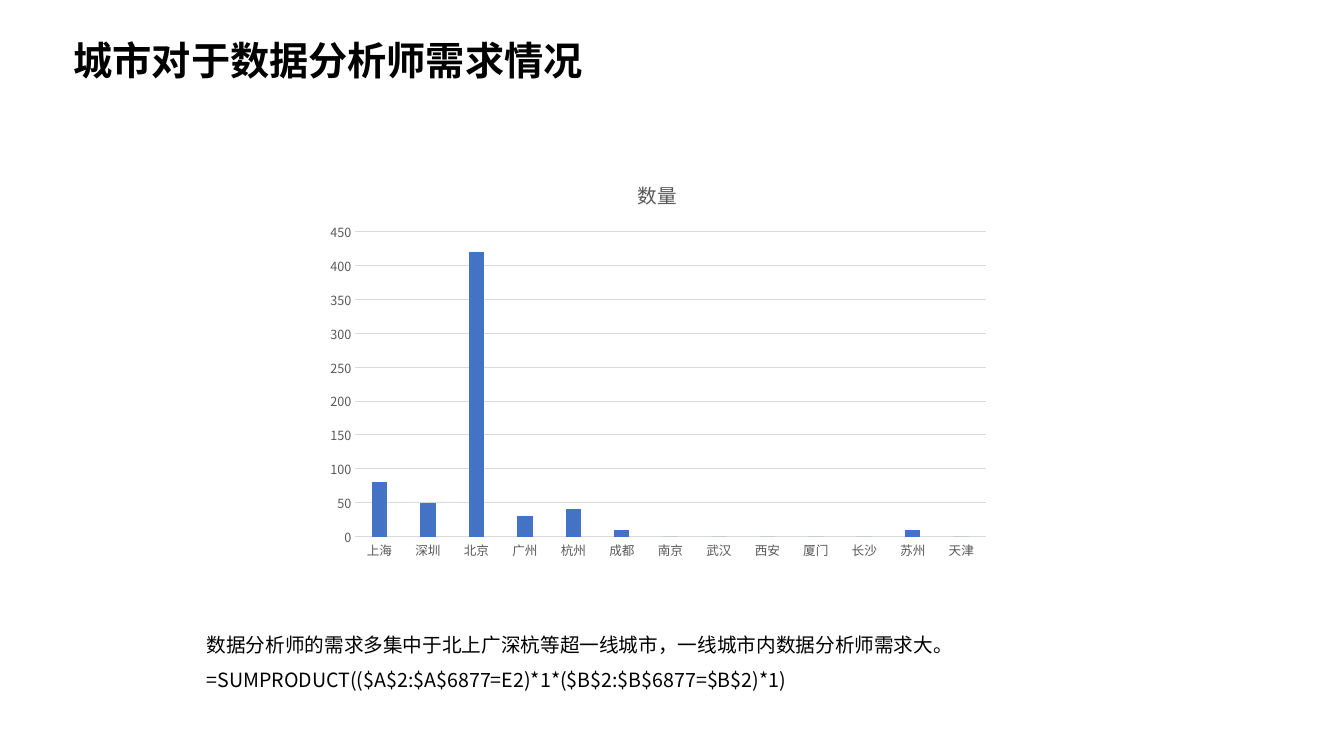
import dataclasses

import pptx
import pptx.chart.data
import pptx.dml.color
import pptx.enum.chart
import pptx.enum.text
import pptx.oxml
import pptx.oxml.ns
import pptx.util

EMU_PER_PX = 9144  # 100 px to the inch


@dataclasses.dataclass(frozen=True)
class Theme:
    font: str = "Noto Sans CJK SC"
    ink: str = "000000"
    label: str = "595959"
    rule: str = "D9D9D9"
    bar: str = "4472C4"
    title_size: int = 28
    body_size: int = 14
    chart_title_size: int = 14
    chart_size: int = 10
    axis_size: int = 9
    rule_width: float = 0.75


THEME = Theme()

TITLE = "城市对于数据分析师需求情况"
NOTES = (
    "数据分析师的需求多集中于北上广深杭等超一线城市，一线城市内数据分析师需求大。",
    "=SUMPRODUCT(($A$2:$A$6877=E2)*1*($B$2:$B$6877=$B$2)*1)",
)
SERIES_NAME = "数量"
CITY_DEMAND = {
    "上海": 80, "深圳": 50, "北京": 420, "广州": 30, "杭州": 40,
    "成都": 10, "南京": 0, "武汉": 0, "西安": 0, "厦门": 0,
    "长沙": 0, "苏州": 10, "天津": 0,
}


def px(length):
    return pptx.util.Emu(length * EMU_PER_PX)


def rgb(colour):
    return pptx.dml.color.RGBColor.from_string(colour)


def apply_format(target, values):
    for name, value in values.items():
        setattr(target, name, value)


def place(shape, left, top, width, height):
    apply_format(shape, {"left": px(left), "top": px(top),
                         "width": px(width), "height": px(height)})


def style_font(font, size, colour, bold=False):
    """Set the font for Latin and East Asian characters alike."""
    apply_format(font, {"name": THEME.font, "size": pptx.util.Pt(size), "bold": bold})
    font.color.rgb = rgb(colour)
    east_asian = pptx.oxml.parse_xml(
        f'<a:ea {pptx.oxml.ns.nsdecls("a")} typeface="{THEME.font}"/>')
    font._element.find(pptx.oxml.ns.qn("a:latin")).addnext(east_asian)


def style_rule(line):
    line.color.rgb = rgb(THEME.rule)
    line.width = pptx.util.Pt(THEME.rule_width)


def add_title(page, text, *bounds):
    title = page.shapes.title
    place(title, *bounds)
    apply_format(title.text_frame, {
        "word_wrap": True,
        "auto_size": pptx.enum.text.MSO_AUTO_SIZE.NONE,
        "vertical_anchor": pptx.enum.text.MSO_ANCHOR.MIDDLE,
    })
    para = title.text_frame.paragraphs[0]
    apply_format(para, {"alignment": pptx.enum.text.PP_ALIGN.LEFT, "line_spacing": 0.9})
    span = para.add_run()
    span.text = text
    style_font(span.font, THEME.title_size, THEME.ink, bold=True)


def add_notes(page, lines, *bounds):
    box = page.shapes.add_textbox(*map(px, bounds))
    frame = box.text_frame
    apply_format(frame, {"word_wrap": True,
                         "auto_size": pptx.enum.text.MSO_AUTO_SIZE.SHAPE_TO_FIT_TEXT})
    frame.text = "\n".join(lines)
    for para in frame.paragraphs:
        apply_format(para, {"alignment": pptx.enum.text.PP_ALIGN.JUSTIFY,
                            "line_spacing": 1.5})
        style_font(para.runs[0].font, THEME.body_size, THEME.ink)


def style_axes(chart):
    for axis in (chart.category_axis, chart.value_axis):
        axis.major_tick_mark = pptx.enum.chart.XL_TICK_MARK.NONE
        axis.minor_tick_mark = pptx.enum.chart.XL_TICK_MARK.NONE
        style_font(axis.tick_labels.font, THEME.axis_size, THEME.label)
    style_rule(chart.category_axis.format.line)
    apply_format(chart.value_axis, {"minimum_scale": 0, "maximum_scale": 450,
                                    "major_unit": 50, "has_major_gridlines": True})
    chart.value_axis.format.line.fill.background()
    style_rule(chart.value_axis.major_gridlines.format.line)


def add_column_chart(page, name, values, *bounds):
    data = pptx.chart.data.CategoryChartData()
    data.categories = list(values)
    data.add_series(name, list(values.values()))
    chart = page.shapes.add_chart(
        pptx.enum.chart.XL_CHART_TYPE.COLUMN_CLUSTERED, *map(px, bounds), data).chart
    apply_format(chart, {"has_legend": False, "has_title": True})
    style_font(chart.font, THEME.chart_size, THEME.ink)

    heading = chart.chart_title
    heading.include_in_layout = False
    span = heading.text_frame.paragraphs[0].add_run()
    span.text = name
    style_font(span.font, THEME.chart_title_size, THEME.label)

    plot = chart.plots[0]
    apply_format(plot, {"gap_width": 219, "overlap": -27, "vary_by_categories": False})
    fill = plot.series[0].format.fill
    fill.solid()
    fill.fore_color.rgb = rgb(THEME.bar)
    style_axes(chart)


def main():
    deck = pptx.Presentation()
    apply_format(deck, {"slide_width": px(1333), "slide_height": px(750)})
    page = deck.slides.add_slide(deck.slide_layouts.get_by_name("Title Only"))
    add_title(page, TITLE, 63, 21, 870, 82)
    add_notes(page, NOTES, 195, 611, 1001, 77)
    add_column_chart(page, SERIES_NAME, CITY_DEMAND, 314, 160, 677, 402)
    deck.save("out.pptx")


if __name__ == "__main__":
    main()
